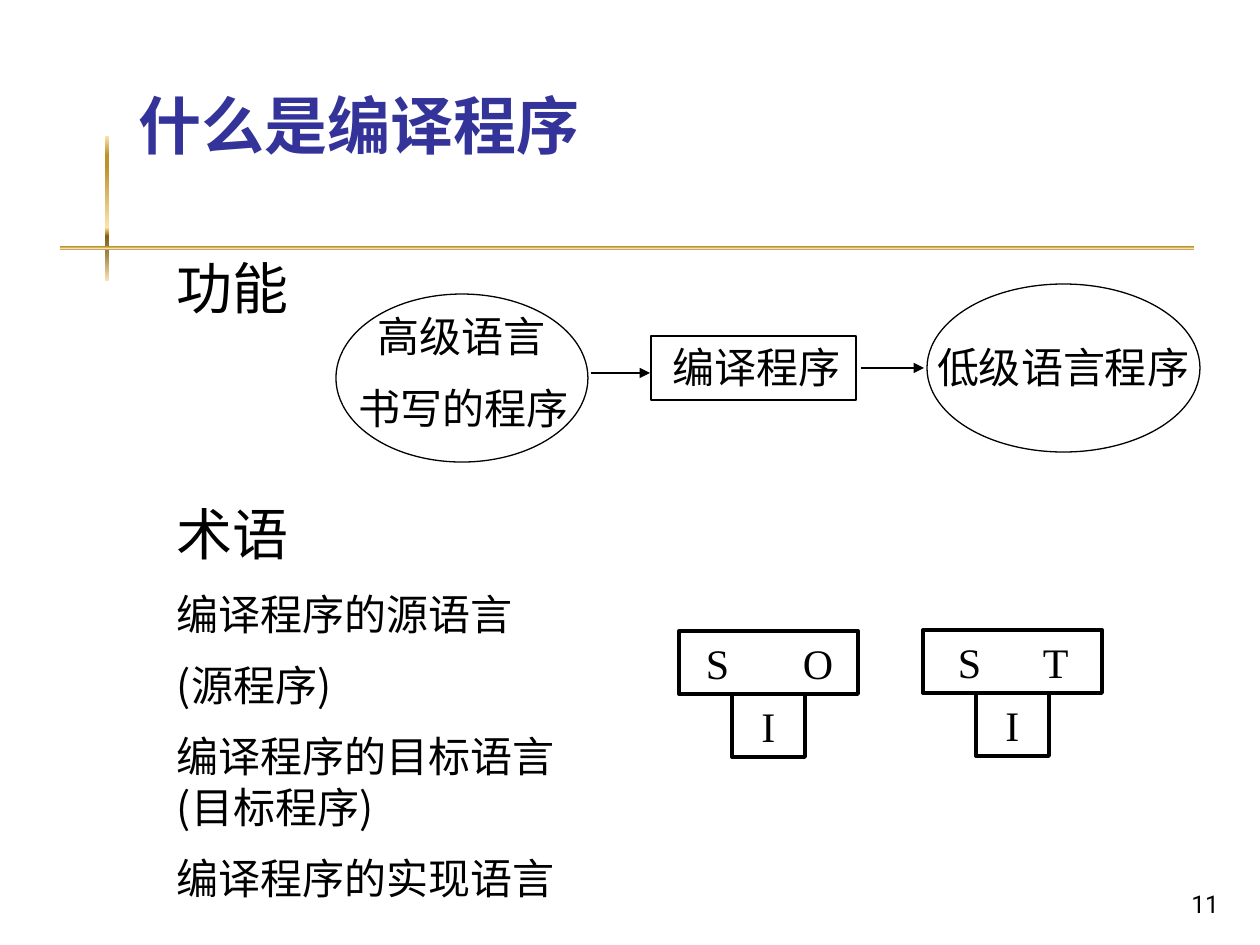
from lxml import etree
from pptx import Presentation
from pptx.dml.color import RGBColor
from pptx.enum.shapes import MSO_CONNECTOR, MSO_SHAPE
from pptx.enum.text import MSO_ANCHOR, PP_ALIGN
from pptx.oxml.ns import qn
from pptx.util import Pt

PX = 7257.14  # EMU per px, 126 px to the inch
CJK, SERIF, DIGITS = "Noto Sans CJK JP", "Times New Roman", "Roboto"
BLACK, WHITE, BLUE = "000000", "FFFFFF", "333399"

# Content; boxes are left, top, width, height in px
GOLD = [(0, "FBE4AE"), (13, "BD922A"), (21, "BD922A"), (63, "FBE4AE"),
        (67, "BD922A"), (69, "835E17"), (82, "A28949"), (100, "FAE3B7")]
RULES = [(105, 136, 4, 145), (60, 246, 1134, 4)]
TITLE = "什么是编译程序"
FUNCTION = "功能"
TERMS = ["术语", "编译程序的源语言", "(源程序)",
         "编译程序的目标语言(目标程序)", "编译程序的实现语言"]
SOURCE = ["高级语言", "书写的程序"]
COMPILER = "编译程序"
TARGET = "低级语言程序"
ELLIPSES = [(336, 294, 252, 168), (927, 284, 273, 168)]
ARROWS = [(591, 373, 650), (861, 368, 924)]  # from x, y, to x
# left, top, top letters, left inset, distance between the letters
T_DIAGRAMS = [(679, 631, "S\tO", 27, 97), (923, 630, "S\tT", 35, 85)]
PAGE_NUMBER = "11"


def px(length):
    return round(length * PX)


def rgb(value):
    return RGBColor.from_string(value)


def write(shape, lines, sizes=(24,), font=CJK, color=BLACK, bold=False,
          align=PP_ALIGN.LEFT, anchor=MSO_ANCHOR.TOP, insets=(13, 6, 13, 6),
          before=0, spacing=None, indents=(), tab=None):
    """Fill a shape with paragraphs; the last size serves all later lines."""
    frame = shape.text_frame
    frame.word_wrap = True
    frame.vertical_anchor = anchor
    (frame.margin_left, frame.margin_top,
     frame.margin_right, frame.margin_bottom) = map(px, insets)
    for i, line in enumerate(lines):
        para = frame.paragraphs[0] if i == 0 else frame.add_paragraph()
        size = sizes[min(i, len(sizes) - 1)]
        para.alignment = align
        para.space_before = Pt(size * before)
        if spacing:
            para.line_spacing = spacing
        properties = para._p.get_or_add_pPr()
        if i < len(indents):
            properties.set("marL", str(px(indents[i])))
        if tab:
            stops = etree.SubElement(properties, qn("a:tabLst"))
            etree.SubElement(stops, qn("a:tab"), pos=str(px(tab)), algn="l")
        span = para.add_run()
        span.text = line
        span.font.size, span.font.bold, span.font.name = Pt(size), bold, font
        span.font.color.rgb = rgb(color)
        etree.SubElement(span._r.get_or_add_rPr(), qn("a:ea"), typeface=font)


def add_text(box, lines, **style):
    write(page.shapes.add_textbox(*map(px, box)), lines, **style)


def add_outline(parent, kind, box, width=0.75, fill=None):
    shape = parent.shapes.add_shape(kind, *map(px, box))
    shape.shadow.inherit = False
    if fill:
        shape.fill.solid()
        shape.fill.fore_color.rgb = rgb(fill)
    else:
        shape.fill.background()
    shape.line.color.rgb = rgb(BLACK)
    shape.line.width = Pt(width)
    return shape


def add_gold_rule(box):
    shape = page.shapes.add_shape(MSO_SHAPE.RECTANGLE, *map(px, box))
    shape.shadow.inherit = False
    shape.line.fill.background()
    shape.fill.gradient()
    gradient = shape._element.spPr.find(qn("a:gradFill"))
    stops = gradient.find(qn("a:gsLst"))
    for stop in list(stops):
        stops.remove(stop)
    for position, color in GOLD:
        stop = etree.SubElement(stops, qn("a:gs"), pos=str(position * 1000))
        etree.SubElement(stop, qn("a:srgbClr"), val=color)
    gradient.find(qn("a:lin")).set("ang", "5400000")


def add_arrow(start, y, end):
    arrow = page.shapes.add_connector(
        MSO_CONNECTOR.STRAIGHT, px(start), px(y), px(end), px(y))
    arrow.line.color.rgb = rgb(BLACK)
    arrow.line.width = Pt(0.75)
    etree.SubElement(arrow.line._get_or_add_ln(), qn("a:tailEnd"),
                     type="triangle")
    etree.SubElement(arrow._element.spPr, qn("a:effectLst"))


def add_t_diagram(left, top, letters, inset, gap):
    group = page.shapes.add_group_shape()
    bar = add_outline(group, MSO_SHAPE.RECTANGLE, (left, top, 179, 63), 2.25, WHITE)
    write(bar, [letters], font=SERIF, anchor=MSO_ANCHOR.MIDDLE,
          insets=(inset, 6, 0, 6), tab=gap)
    stem = add_outline(group, MSO_SHAPE.RECTANGLE,
                       (left + 53, top + 63, 73, 63), 2.25, WHITE)
    write(stem, ["I"], font=SERIF, align=PP_ALIGN.CENTER,
          anchor=MSO_ANCHOR.MIDDLE)


deck = Presentation()
deck.slide_width, deck.slide_height = px(1260), px(945)
page = deck.slides.add_slide(deck.slide_layouts[6])

# Rules and headings
for rule in RULES:
    add_gold_rule(rule)
add_text((126, 21, 1071, 147), [TITLE], sizes=(36,), color=BLUE, bold=True,
         anchor=MSO_ANCHOR.BOTTOM)
add_text((164, 255, 1032, 73), [FUNCTION], sizes=(32,), spacing=0.9)

# Terms
add_text((164, 494, 456, 437), TERMS, sizes=(32, 24), before=0.5)

# Flow from source program to target program
add_text((346, 305, 262, 140), SOURCE, before=0.5, indents=(19,))
compiler = add_outline(page, MSO_SHAPE.RECTANGLE, (651, 336, 205, 64))
write(compiler, [COMPILER], insets=(22, 6, 0, 6))
add_text((924, 336, 284, 64), [TARGET])
for arrow in ARROWS:
    add_arrow(*arrow)
for ellipse in ELLIPSES:
    add_outline(page, MSO_SHAPE.OVAL, ellipse)

# T diagrams and page number
for diagram in T_DIAGRAMS:
    add_t_diagram(*diagram)
add_text((970, 861, 262, 63), [PAGE_NUMBER], sizes=(14,), font=DIGITS,
         align=PP_ALIGN.RIGHT, anchor=MSO_ANCHOR.BOTTOM)

deck.save("out.pptx")
